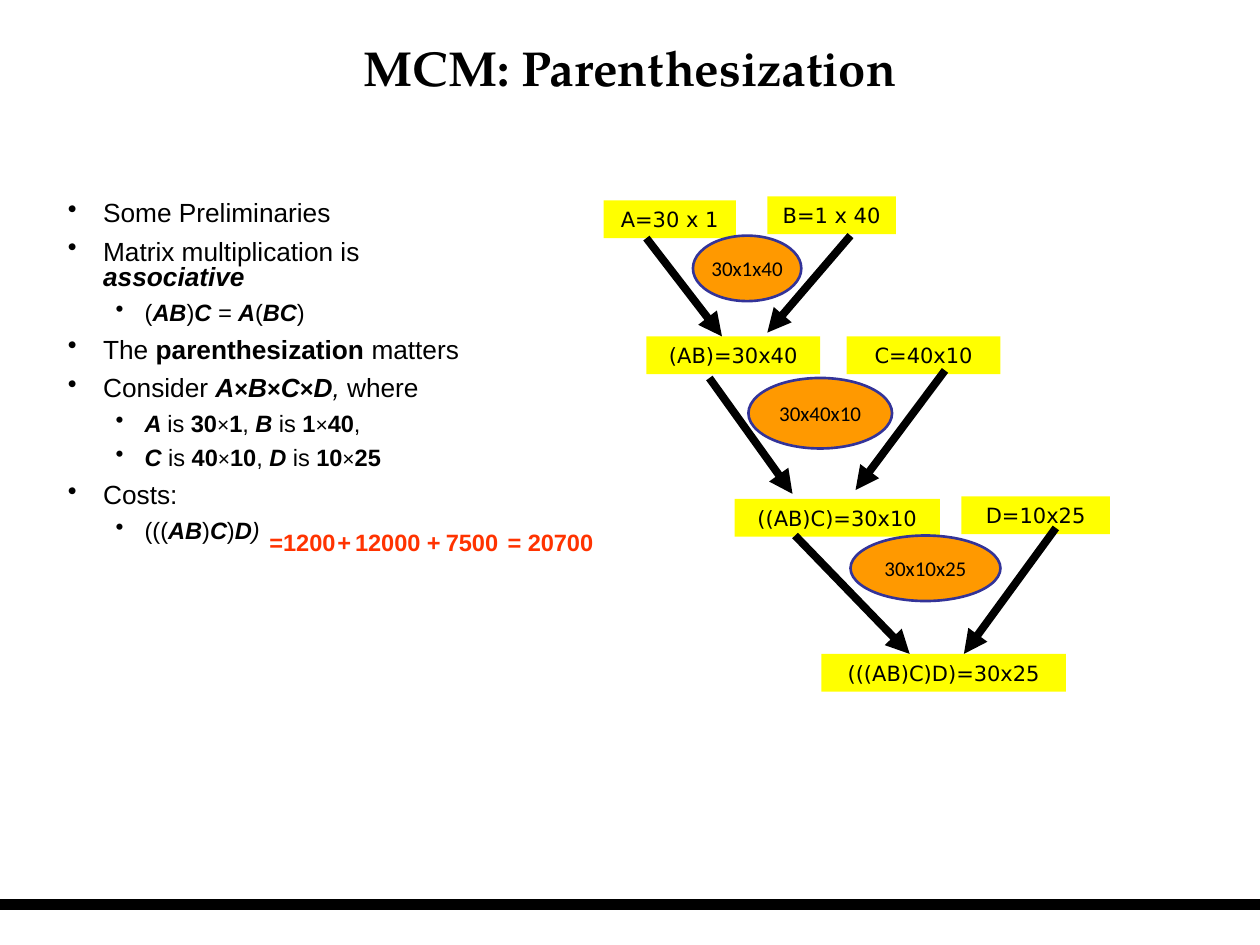
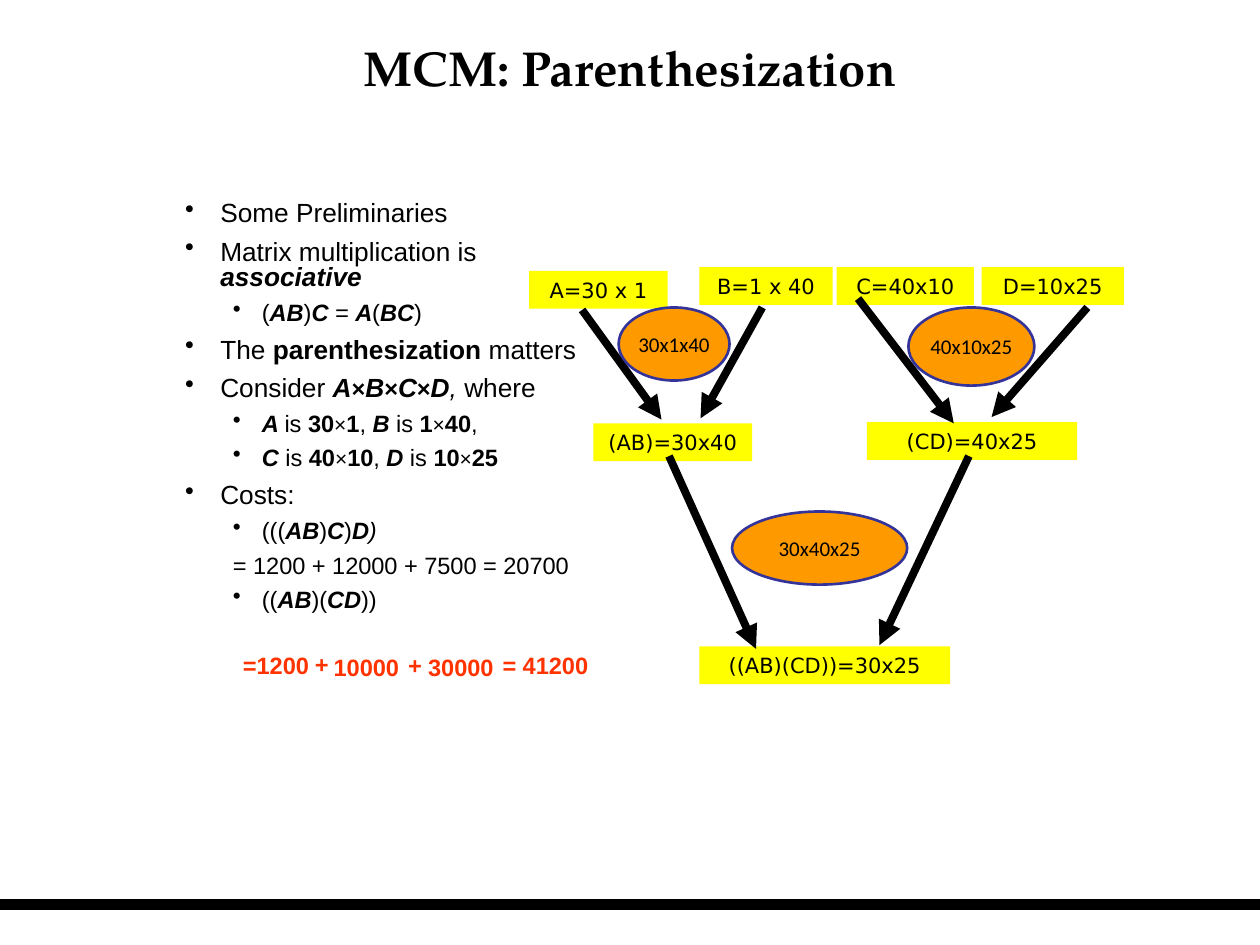
"""Build two slides that compare the costs of two matrix chain parenthesizations."""
import pptx
import pptx.dml.color
import pptx.enum.shapes
import pptx.enum.text
import pptx.oxml
import pptx.oxml.ns
import pptx.util
from pptx.util import Inches

BLACK, YELLOW, ORANGE, NAVY, RED = "000000", "FFFF00", "FF9900", "333399", "FF3300"
SHAPES = pptx.enum.shapes.MSO_SHAPE
MIDDLE = pptx.enum.text.MSO_ANCHOR.MIDDLE
CENTER = pptx.enum.text.PP_ALIGN.CENTER
BOX_HEIGHT = 0.3
TERM_HEIGHT = 0.33


def paint(color_format, color):
    """Set a fill, line or font colour from a hex string."""
    color_format.rgb = pptx.dml.color.RGBColor.from_string(color)


def write(paragraph, text, size=12, font="Arial", color=BLACK, bold=False, align=None):
    """Write text in which * toggles bold, / toggles italic and × is set smaller and upright."""
    paragraph.alignment = align
    italic = False
    for mark in "*/×":
        text = text.replace(mark, f"|{mark}|")
    for piece in filter(None, text.split("|")):
        if piece == "*":
            bold = not bold
        elif piece == "/":
            italic = not italic
        else:
            run = paragraph.add_run()
            run.text = piece
            run.font.name = font
            run.font.size = pptx.util.Pt(size - 1.5 if piece == "×" else size)
            run.font.bold = bold
            run.font.italic = italic and piece != "×"
            paint(run.font.color, color)


preliminaries = [
    (0, "•", "Some Preliminaries"),
    (0, "•", "Matrix multiplication is */associative"),
    (1, "•", "(*/AB*/)*/C* = *A*/(*/BC*/)"),
    (0, "•", "The *parenthesization* matters"),
    (0, "•", "Consider */A×B×C×D*, /where"),
    (1, "•", "*/A */is *30*×*1*, */B */is *1*×*40*,"),
    (1, "•", "*/C */is *40*×*10*, */D */is *10*×*25"),
    (0, "•", "Costs:"),
    (1, "•", "(((*/AB*/)*/C*/)*/D*)"),
]
second_cost = [
    (1, "", "= 1200 + 12000 + 7500 = 20700"),
    (1, "•", "((*/AB*/)(*/CD*/))"),
]

slides = [
    {
        "bullets": preliminaries,
        "bullets_left": 0.44,
        "matrices": [
            ("A=30 x 1", 4.79, 1.59, 1.05), ("B=1 x 40", 6.09, 1.56, 1.02),
            ("(AB)=30x40", 5.13, 2.67, 1.38), ("C=40x10", 6.72, 2.67, 1.22),
            ("((AB)C)=30x10", 5.83, 3.96, 1.63), ("D=10x25", 7.63, 3.94, 1.18),
            ("(((AB)C)D)=30x25", 6.52, 5.19, 1.94),
        ],
        "arrows": [
            (5.13, 1.89, 5.73, 2.67), (6.75, 1.87, 6.09, 2.64),
            (5.63, 3, 6.29, 3.92), (7.5, 2.94, 6.79, 3.89),
            (6.31, 4.25, 7.22, 5.19), (8.38, 4.19, 7.65, 5.19),
        ],
        "products": [
            ("30x1x40", 5.5, 1.87, 0.86, 0.52), ("30x40x10", 5.94, 3, 1.14, 0.56),
            ("30x10x25", 6.75, 4.25, 1.19, 0.52),
        ],
        "terms": [
            ("=1200", 2.04, 4.14, 0.88), ("+", 2.58, 4.14, 0.25), ("12000", 2.72, 4.14, 0.73),
            ("+", 3.29, 4.14, 0.25), ("7500", 3.44, 4.14, 0.63), ("= 20700", 3.93, 4.14, 1),
        ],
    },
    {
        "bullets": preliminaries + second_cost,
        "bullets_left": 1.37,
        "matrices": [
            ("A=30 x 1", 4.2, 2.15, 1.1), ("B=1 x 40", 5.55, 2.12, 1.06),
            ("C=40x10", 6.64, 2.12, 1.09), ("D=10x25", 7.79, 2.12, 1.13),
            ("(AB)=30x40", 4.71, 3.36, 1.26), ("(CD)=40x25", 6.88, 3.35, 1.67),
            ("((AB)(CD))=30x25", 5.55, 5.13, 1.99),
        ],
        "arrows": [
            (4.62, 2.46, 5.25, 3.33), (6.05, 2.44, 5.56, 3.32),
            (6.81, 2.37, 7.57, 3.36), (8.63, 2.44, 7.87, 3.31),
            (5.31, 3.62, 6, 5.15), (7.69, 3.62, 6.98, 5.12),
        ],
        "products": [
            ("30x1x40", 4.91, 2.44, 0.88, 0.58), ("40x10x25", 7.21, 2.44, 1, 0.62),
            ("30x40x25", 5.81, 4.06, 1.39, 0.58),
        ],
        "terms": [
            ("=1200", 1.83, 5.12, 0.81), ("+", 2.4, 5.11, 0.25), ("10000", 2.55, 5.13, 0.75),
            ("+", 3.14, 5.12, 0.25), ("30000", 3.3, 5.13, 0.72), ("= 41200", 3.89, 5.12, 1),
        ],
    },
]

presentation = pptx.Presentation()
presentation.slide_width, presentation.slide_height = Inches(10), Inches(7.5)

for content in slides:
    slide = presentation.slides.add_slide(presentation.slide_layouts[5])

    title = slide.shapes.title
    title.left, title.top = Inches(0.05), Inches(0.07)
    title.width, title.height = Inches(9.9), Inches(0.92)
    title.text_frame.vertical_anchor = MIDDLE
    write(title.text_frame.paragraphs[0], "MCM: Parenthesization", size=28,
          font="TeX Gyre Pagella", bold=True, align=CENTER)

    body = slide.shapes.add_textbox(
        Inches(content["bullets_left"]), Inches(1.56), Inches(3.69), Inches(4.63))
    body.text_frame.word_wrap = True
    for index, (level, bullet, text) in enumerate(content["bullets"]):
        paragraph = body.text_frame.add_paragraph() if index else body.text_frame.paragraphs[0]
        size = (15, 13.5)[level]
        paragraph.level = level
        paragraph.line_spacing = 0.8
        paragraph.space_before = pptx.util.Pt(size / 2 if index else 0)
        properties = paragraph._p.get_or_add_pPr()
        properties.set("marL", str(Inches((0.28, 0.61)[level])))
        properties.set("indent", str(Inches((-0.28, -0.23)[level])))
        if bullet:
            pptx.oxml.ns.qn("a:buChar")
            properties.append(pptx.oxml.parse_xml(
                f'<a:buChar {pptx.oxml.ns.nsdecls("a")} char="{bullet}"/>'))
        write(paragraph, text, size=size)

    for text, left, top, width in content["matrices"]:
        box = slide.shapes.add_shape(
            SHAPES.RECTANGLE, Inches(left), Inches(top), Inches(width), Inches(BOX_HEIGHT))
        box.shadow.inherit = False
        box.fill.solid()
        paint(box.fill.fore_color, YELLOW)
        box.line.fill.background()
        box.text_frame.vertical_anchor = pptx.enum.text.MSO_ANCHOR.TOP
        write(box.text_frame.paragraphs[0], text, font="DejaVu Sans", align=CENTER)

    footer_line = (0, 7.18, 10, 7.18)
    for ends in [footer_line] + content["arrows"]:
        connector = slide.shapes.add_connector(
            pptx.enum.shapes.MSO_CONNECTOR.STRAIGHT, *map(Inches, ends))
        paint(connector.line.color, BLACK)
        connector.line.width = pptx.util.Pt(6 if ends == footer_line else 4.5)
        if ends != footer_line:
            connector.line._get_or_add_ln().append(pptx.oxml.parse_xml(
                f'<a:tailEnd {pptx.oxml.ns.nsdecls("a")} type="triangle"/>'))
        connector._element.spPr.append(pptx.oxml.parse_xml(
            f'<a:effectLst {pptx.oxml.ns.nsdecls("a")}/>'))

    for text, *bounds in content["products"]:
        ellipse = slide.shapes.add_shape(SHAPES.OVAL, *map(Inches, bounds))
        ellipse.shadow.inherit = False
        ellipse.fill.solid()
        paint(ellipse.fill.fore_color, ORANGE)
        paint(ellipse.line.color, NAVY)
        ellipse.line.width = pptx.util.Pt(1.5)
        ellipse.text_frame.word_wrap = False
        ellipse.text_frame.vertical_anchor = MIDDLE
        write(ellipse.text_frame.paragraphs[0], text, font="Calibri", align=CENTER)

    for text, left, top, width in content["terms"]:
        term = slide.shapes.add_textbox(
            Inches(left), Inches(top), Inches(width), Inches(TERM_HEIGHT))
        term.text_frame.word_wrap = True
        write(term.text_frame.paragraphs[0], text, size=13.5, color=RED, bold=True)

presentation.save("out.pptx")
